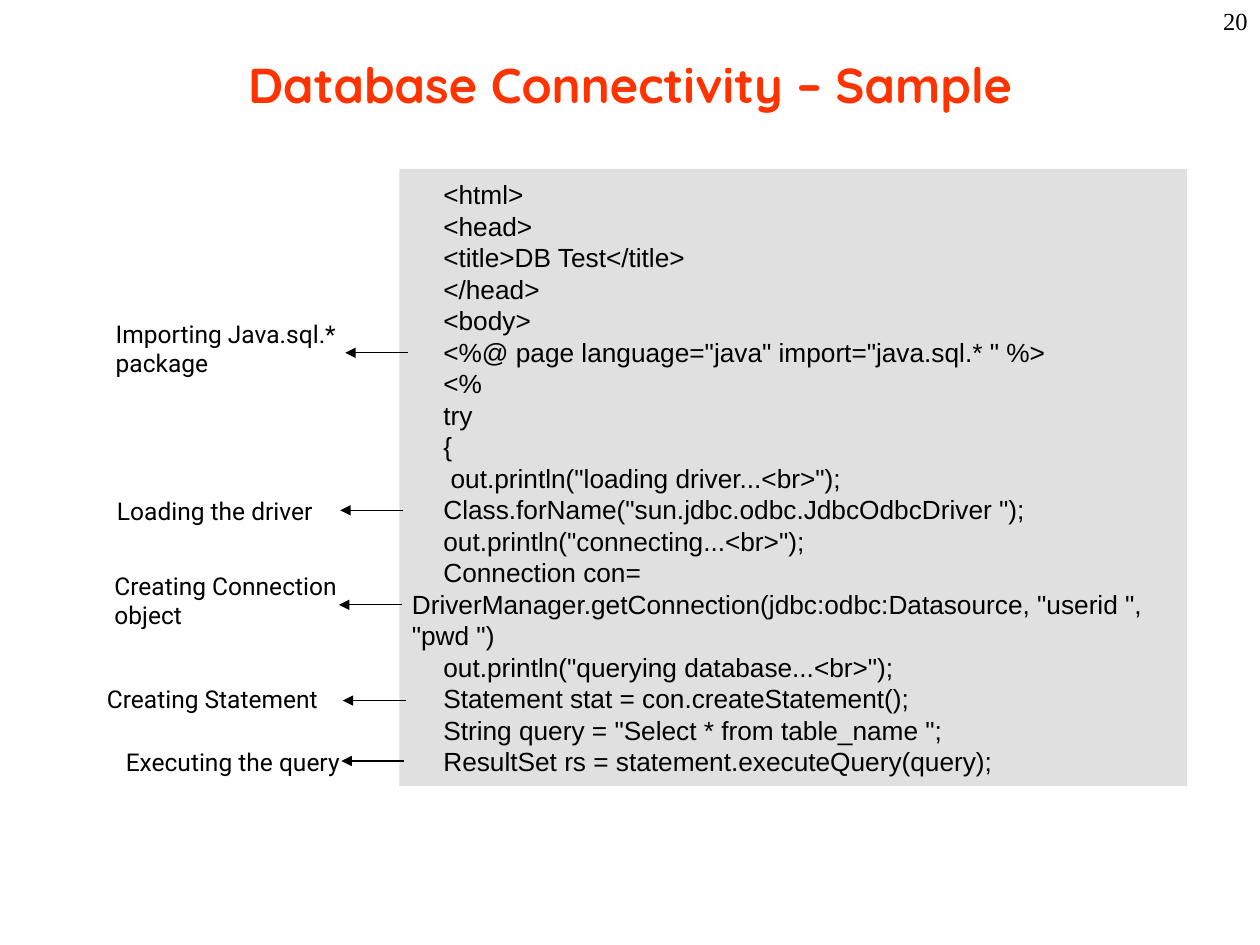
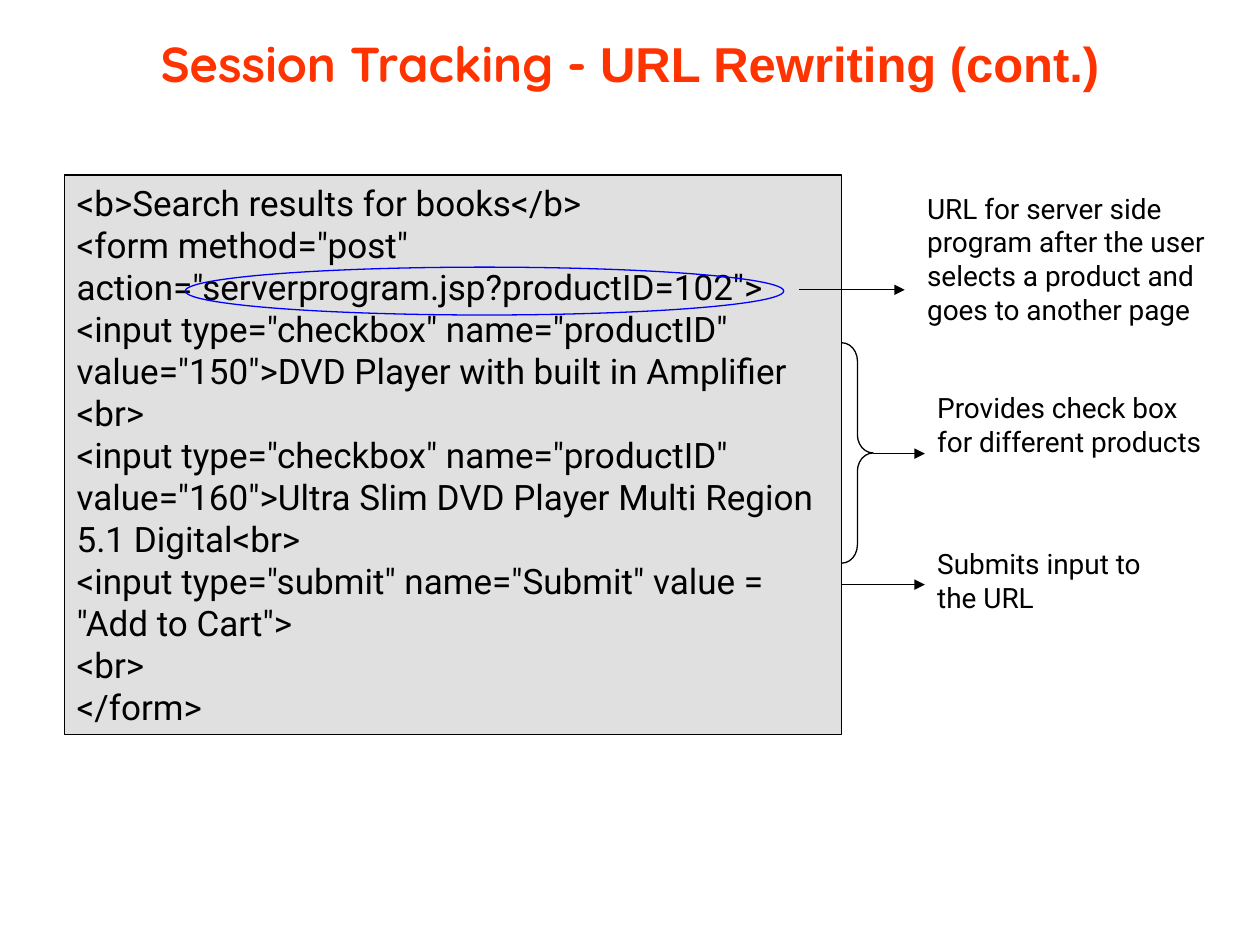
from dataclasses import dataclass

import lxml.etree
import pptx
import pptx.dml.color
import pptx.enum.shapes
import pptx.enum.text
import pptx.oxml.ns
import pptx.shapes.autoshape
import pptx.shapes.connector
import pptx.slide
import pptx.text.text
import pptx.util

Align = pptx.enum.text.PP_ALIGN
Anchor = pptx.enum.text.MSO_ANCHOR
Preset = pptx.enum.shapes.MSO_SHAPE

SLIDE_WIDTH = pptx.util.Inches(10)
SLIDE_HEIGHT = pptx.util.Inches(7.5)
COLUMNS = 100
ROWS = 75

BLACK = "000000"
TITLE_RED = "FF3300"
CODE_GREY = "E0E0E0"
HIGHLIGHT_BLUE = "0000FF"
LINE_WIDTH = 0.75
CODE_INDENT = 2.5
ARROW_COLUMNS = 5


@dataclass(frozen=True)
class Area:
    """A block of grid cells, measured in columns and rows."""
    column: float
    row: float
    columns: float
    rows: float

    def box(self) -> tuple[int, int, int, int]:
        return across(self.column), down(self.row), across(self.columns), down(self.rows)


@dataclass(frozen=True)
class Style:
    font: str
    size: float
    color: str = BLACK
    bold: bool = False
    align: Align = Align.LEFT
    anchor: Anchor = Anchor.TOP
    indent: float = 0


@dataclass(frozen=True)
class Label:
    text: str
    area: Area


@dataclass(frozen=True)
class Step:
    """A label and the start of the arrow that leads to it from the code."""
    label: Label
    arrow_column: float
    arrow_row: float


TITLE = Style("Quicksand", 28, TITLE_RED, True, Align.CENTER, Anchor.MIDDLE)
PAGE_NUMBER = Style("Times New Roman", 14, align=Align.RIGHT)
SAMPLE_CODE = Style("Arial", 15, anchor=Anchor.MIDDLE, indent=CODE_INDENT)
FORM_CODE = Style("Roboto", 20, anchor=Anchor.MIDDLE)
STEP_LABEL = Style("Roboto", 14)
FORM_LABEL = Style("Roboto", 16)

SAMPLE_LINES = [
    '<html>',
    '<head>',
    '<title>DB Test</title>',
    '</head>',
    '<body>',
    '<%@ page language="java" import="java.sql.* " %>',
    '<%',
    'try',
    '{',
    ' out.println("loading driver...<br>");',
    'Class.forName("sun.jdbc.odbc.JdbcOdbcDriver ");',
    'out.println("connecting...<br>");',
    'Connection con= DriverManager.getConnection(jdbc:odbc:Datasource, "userid ", "pwd ")',
    'out.println("querying database...<br>");',
    'Statement stat = con.createStatement();',
    'String query = "Select * from table_name ";',
    'ResultSet rs = statement.executeQuery(query);',
]

STEPS = [
    Step(Label("Importing Java.sql.* package", Area(8.2, 24.8, 20, 5.7)), 32.4, 28),
    Step(Label("Loading the driver", Area(8.3, 38.9, 17.9, 3.3)), 32, 40.5),
    Step(Label("Creating Connection object", Area(8.1, 44.8, 20, 5.7)), 31.9, 48),
    Step(Label("Creating Statement", Area(7.5, 53.8, 20, 3.3)), 32.2, 55.6),
    Step(Label("Executing the query", Area(9, 58.8, 20, 3.3)), 32.1, 60.4),
]

FORM_PARAGRAPHS = [
    '<b>Search results for books</b>\n'
    '<form method="post" action="serverprogram.jsp?productID=102">',
    '<input type="checkbox" name="productID" value="150">DVD Player with built in Amplifier <br>\n'
    '<input type="checkbox" name="productID" value="160">'
    'Ultra Slim DVD Player Multi Region 5.1 Digital<br>\n'
    '<input type="submit" name="Submit" value = "Add to Cart">',
    '<br>\n</form>',
]

URL_LABEL = Label("URL for server side program after the user selects a product and goes to another page",
                  Area(72.6, 14.7, 25.6, 16))
CHECK_BOX_LABEL = Label("Provides check box for different products", Area(73.4, 30.5, 23.3, 10))
SUBMIT_LABEL = Label("Submits input to the URL", Area(73.4, 42.9, 21.7, 7))


def across(columns: float) -> int:
    return round(SLIDE_WIDTH * columns / COLUMNS)


def down(rows: float) -> int:
    return round(SLIDE_HEIGHT * rows / ROWS)


def rgb(color: str) -> pptx.dml.color.RGBColor:
    return pptx.dml.color.RGBColor.from_string(color)


def style_run(run: pptx.text.text._Run, style: Style) -> None:
    values = {"name": style.font, "size": pptx.util.Pt(style.size), "bold": style.bold}
    for attribute, value in values.items():
        setattr(run.font, attribute, value)
    run.font.color.rgb = rgb(style.color)


def write(frame: pptx.text.text.TextFrame, paragraphs: list[str], style: Style) -> None:
    frame.word_wrap = True
    frame.vertical_anchor = style.anchor
    for index, text in enumerate(paragraphs):
        paragraph = frame.paragraphs[0] if index == 0 else frame.add_paragraph()
        paragraph.text = text
        paragraph.alignment = style.align
        if style.indent:
            properties = paragraph._p.get_or_add_pPr()
            properties.set("marL", "0")
            properties.set("indent", str(across(style.indent)))
        for run in paragraph.runs:
            style_run(run, style)


def add_label(slide: pptx.slide.Slide, label: Label, style: Style) -> pptx.shapes.autoshape.Shape:
    textbox = slide.shapes.add_textbox(*label.area.box())
    write(textbox.text_frame, [label.text], style)
    return textbox


def add_preset(slide: pptx.slide.Slide, preset: Preset, area: Area,
               fill: str | None = None, line: str | None = None) -> pptx.shapes.autoshape.Shape:
    shape = slide.shapes.add_shape(preset, *area.box())
    shape.shadow.inherit = False
    if fill:
        shape.fill.solid()
        shape.fill.fore_color.rgb = rgb(fill)
    else:
        shape.fill.background()
    if line:
        shape.line.color.rgb = rgb(line)
        shape.line.width = pptx.util.Pt(LINE_WIDTH)
    else:
        shape.line.fill.background()
    return shape


def add_arrow(slide: pptx.slide.Slide, start: float, end: float,
              row: float) -> pptx.shapes.connector.Connector:
    """Draw a level arrow between two columns, pointing at the second."""
    arrow = slide.shapes.add_connector(pptx.enum.shapes.MSO_CONNECTOR.STRAIGHT,
                                       across(start), down(row), across(end), down(row))
    arrow.line.color.rgb = rgb(BLACK)
    arrow.line.width = pptx.util.Pt(LINE_WIDTH)
    qualified = pptx.oxml.ns.qn
    properties = arrow.element.spPr
    outline = properties.find(qualified("a:ln"))
    lxml.etree.SubElement(outline, qualified("a:tailEnd"), type="triangle")
    lxml.etree.SubElement(properties, qualified("a:effectLst"))
    return arrow


def build_database_sample(slide: pptx.slide.Slide) -> None:
    add_label(slide, Label("Database Connectivity – Sample", Area(7.5, 0.8, 85, 11.7)), TITLE)
    add_label(slide, Label("20", Area(79.2, 0, 20.8, 5)), PAGE_NUMBER)
    code = add_preset(slide, Preset.RECTANGLE, Area(31.7, 13.4, 62.5, 49), fill=CODE_GREY)
    write(code.text_frame, SAMPLE_LINES, SAMPLE_CODE)
    for step in STEPS:
        add_arrow(slide, step.arrow_column, step.arrow_column - ARROW_COLUMNS, step.arrow_row)
        add_label(slide, step.label, STEP_LABEL)


def build_url_rewriting(slide: pptx.slide.Slide) -> None:
    code = add_preset(slide, Preset.RECTANGLE, Area(5.1, 13.9, 61.7, 44.4), CODE_GREY, BLACK)
    write(code.text_frame, FORM_PARAGRAPHS, FORM_CODE)
    add_preset(slide, Preset.OVAL, Area(14.7, 21.2, 47.5, 3.8), line=HIGHLIGHT_BLUE)
    add_arrow(slide, 63.4, 71.8, 23)
    add_label(slide, URL_LABEL, FORM_LABEL)

    check_box_brace = add_preset(slide, Preset.RIGHT_BRACE, Area(66.8, 27.2, 2.5, 17.5), line=BLACK)
    check_box_brace.adjustments[0] = 0.58
    add_arrow(slide, 69.3, 73.4, 36)
    add_label(slide, CHECK_BOX_LABEL, FORM_LABEL)

    submit_arrow = add_arrow(slide, 66.8, 73.4, 46.4)
    submit_arrow.end_connect(add_label(slide, SUBMIT_LABEL, FORM_LABEL), 1)

    title = add_label(slide, Label("Session Tracking - ", Area(5, 0, 90, 10)), TITLE)
    topic = title.text_frame.paragraphs[0].add_run()
    topic.text = "URL Rewriting (cont.)"
    style_run(topic, TITLE)
    topic.font.name = "Arial"


def main() -> None:
    presentation = pptx.Presentation()
    presentation.slide_width = SLIDE_WIDTH
    presentation.slide_height = SLIDE_HEIGHT
    blank = presentation.slide_layouts[6]
    for build in (build_database_sample, build_url_rewriting):
        build(presentation.slides.add_slide(blank))
    presentation.save("out.pptx")


if __name__ == "__main__":
    main()
